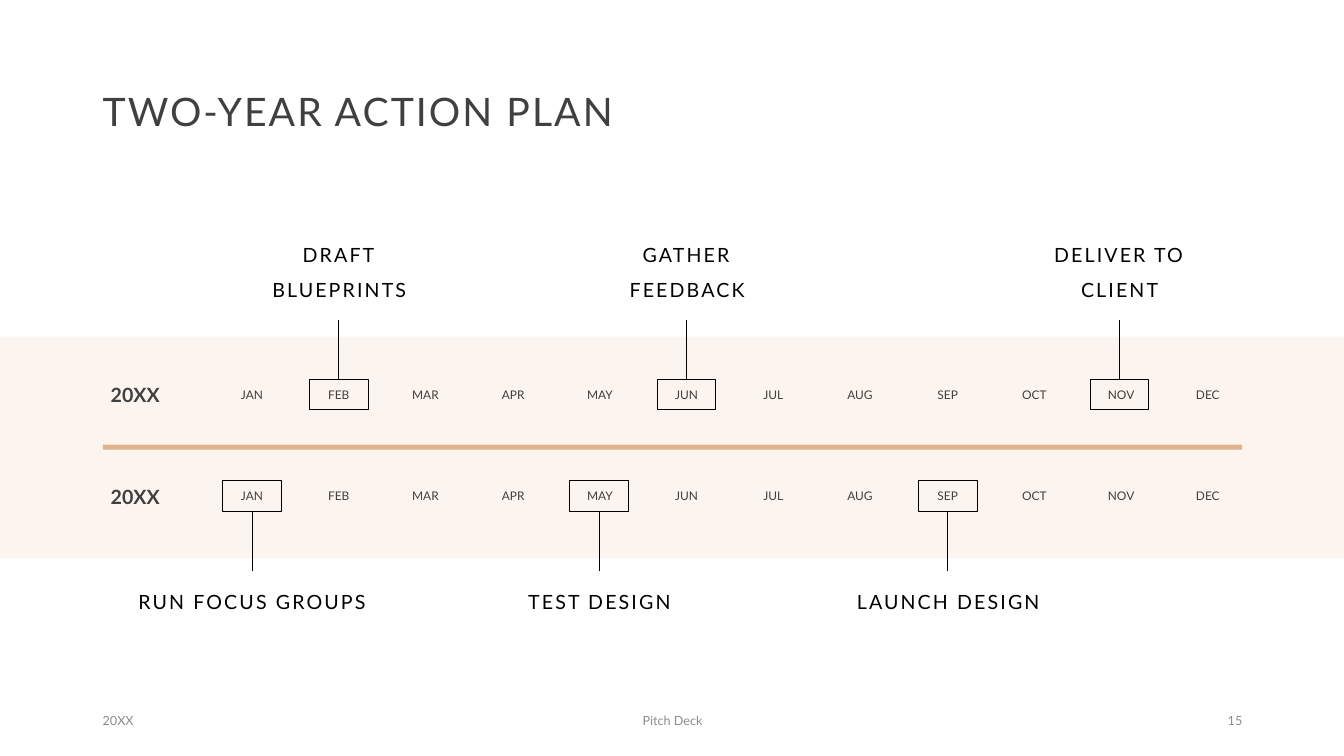
from dataclasses import dataclass

from lxml import etree
from pptx import Presentation
from pptx import util as u
from pptx.dml.color import RGBColor
from pptx.enum import shapes, text
from pptx.oxml.ns import qn

EMU_PER_PX = 9144  # 100 px to the inch
W, H = 1333, 750

BLACK = RGBColor(0x00, 0x00, 0x00)
DARK = RGBColor(0x40, 0x40, 0x40)
GREY = RGBColor(0x8C, 0x8C, 0x8C)
CREAM = RGBColor(0xFB, 0xF4, 0xEF)
TAN = RGBColor(0xE2, 0xB1, 0x8D)

LEFT, CENTER, RIGHT = text.PP_ALIGN.LEFT, text.PP_ALIGN.CENTER, text.PP_ALIGN.RIGHT
TOP, MIDDLE, BOTTOM = text.MSO_ANCHOR.TOP, text.MSO_ANCHOR.MIDDLE, text.MSO_ANCHOR.BOTTOM

MONTHS = "JAN FEB MAR APR MAY JUN JUL AUG SEP OCT NOV DEC".split()
MONTH_LEFT, MONTH_STEP, MONTH_W = 215, 86.2, 70
BOX_W, BOX_H, STEM = 58, 30, 59


@dataclass(frozen=True)
class Style:
    size: float
    color: RGBColor
    align: text.PP_ALIGN = LEFT
    anchor: text.MSO_ANCHOR = MIDDLE
    leading: float = 1.0
    bold: bool = False
    spacing: int = 0  # hundredths of a point


@dataclass(frozen=True)
class Milestone:
    label: str
    x: int  # centre
    label_w: int = 225


@dataclass(frozen=True)
class YearRow:
    year: str
    box_top: int
    label_top: int
    above: bool
    milestones: tuple[Milestone, ...]


TITLE = Style(28, DARK, leading=0.9, spacing=150)
YEAR = Style(14, DARK, leading=0.9, bold=True)
MONTH = Style(8.5, DARK, CENTER, TOP, leading=0.7)
LABEL_ABOVE = Style(14, BLACK, CENTER, BOTTOM, leading=1.5, spacing=150)
LABEL_BELOW = Style(14, BLACK, CENTER, TOP, leading=1.5, spacing=150)

ROWS = (
    YearRow("20XX", 376, 243, True, (
        Milestone("DRAFT BLUEPRINTS", 336),
        Milestone("GATHER FEEDBACK", 681),
        Milestone("DELIVER TO CLIENT", 1110))),
    YearRow("20XX", 477, 569, False, (
        Milestone("RUN FOCUS GROUPS", 250, 274),
        Milestone("TEST DESIGN", 594),
        Milestone("LAUNCH DESIGN", 940))),
)
FOOTERS = (("20XX", 92, 300, LEFT), ("Pitch Deck", 442, 450, CENTER), ("15", 942, 300, RIGHT))


def px(n: float) -> int:
    return round(n) * EMU_PER_PX


def add_text(s, words: str, x: float, y: int, w: int, h: int, style: Style):
    tf = s.shapes.add_textbox(px(x), px(y), px(w), px(h)).text_frame
    p = tf.paragraphs[0]
    r = p.add_run()
    r.text = words
    formats = {
        tf: {"word_wrap": True, "vertical_anchor": style.anchor},
        p: {"alignment": style.align, "line_spacing": style.leading},
        r.font: {"name": "Lato", "size": u.Pt(style.size), "bold": style.bold},
    }
    for target, values in formats.items():
        for name, value in values.items():
            setattr(target, name, value)
    r.font.color.rgb = style.color
    if style.spacing:
        r.font._element.set("spc", str(style.spacing))


def add_rect(s, x: int, y: int, w: int, h: int, fill: RGBColor | None = None):
    """A filled bar, or a thin black outline if no fill is given."""
    sp = s.shapes.add_shape(shapes.MSO_SHAPE.RECTANGLE, px(x), px(y), px(w), px(h))
    sp.shadow.inherit = False
    if fill is None:
        sp.fill.background()
        sp.line.color.rgb = BLACK
        sp.line.width = u.Pt(0.5)
    else:
        sp.fill.solid()
        sp.fill.fore_color.rgb = fill
        sp.line.fill.background()
    return sp


def add_milestone(s, m: Milestone, row: YearRow) -> None:
    box = add_rect(s, m.x - BOX_W // 2, row.box_top, BOX_W, BOX_H)
    start = row.box_top if row.above else row.box_top + BOX_H
    end = start - STEM if row.above else start + STEM
    stem = s.shapes.add_connector(
        shapes.MSO_CONNECTOR.STRAIGHT, px(m.x), px(start), px(m.x), px(end))
    stem.begin_connect(box, 0 if row.above else 2)
    stem.line.color.rgb = BLACK
    stem.line.width = u.Pt(0.5)
    etree.SubElement(stem._element.spPr, qn("a:effectLst"))
    style = LABEL_ABOVE if row.above else LABEL_BELOW
    add_text(s, m.label, m.x - m.label_w // 2, row.label_top, m.label_w, 61, style)


def add_year_row(s, row: YearRow) -> None:
    add_text(s, row.year, 100, row.box_top - 8, 80, 50, YEAR)
    for i, month in enumerate(MONTHS):
        add_text(s, month, MONTH_LEFT + i * MONTH_STEP, row.box_top + 7, MONTH_W, 22, MONTH)
    for m in row.milestones:
        add_milestone(s, m, row)


def main() -> None:
    prs = Presentation()
    prs.slide_width, prs.slide_height = px(W), px(H)
    s = prs.slides.add_slide(prs.slide_layouts[6])

    # Band, dividing bar and title
    add_rect(s, 0, 334, W, 220, CREAM)
    add_rect(s, 102, 441, 1130, 5, TAN)
    add_text(s, "TWO-YEAR ACTION PLAN", 92, 40, 1150, 145, TITLE)

    # Timeline, one row for each year
    for row in ROWS:
        add_year_row(s, row)

    # Footer
    for words, x, w, align in FOOTERS:
        add_text(s, words, x, 695, w, 40, Style(9, GREY, align))

    prs.save("out.pptx")


if __name__ == "__main__":
    main()
